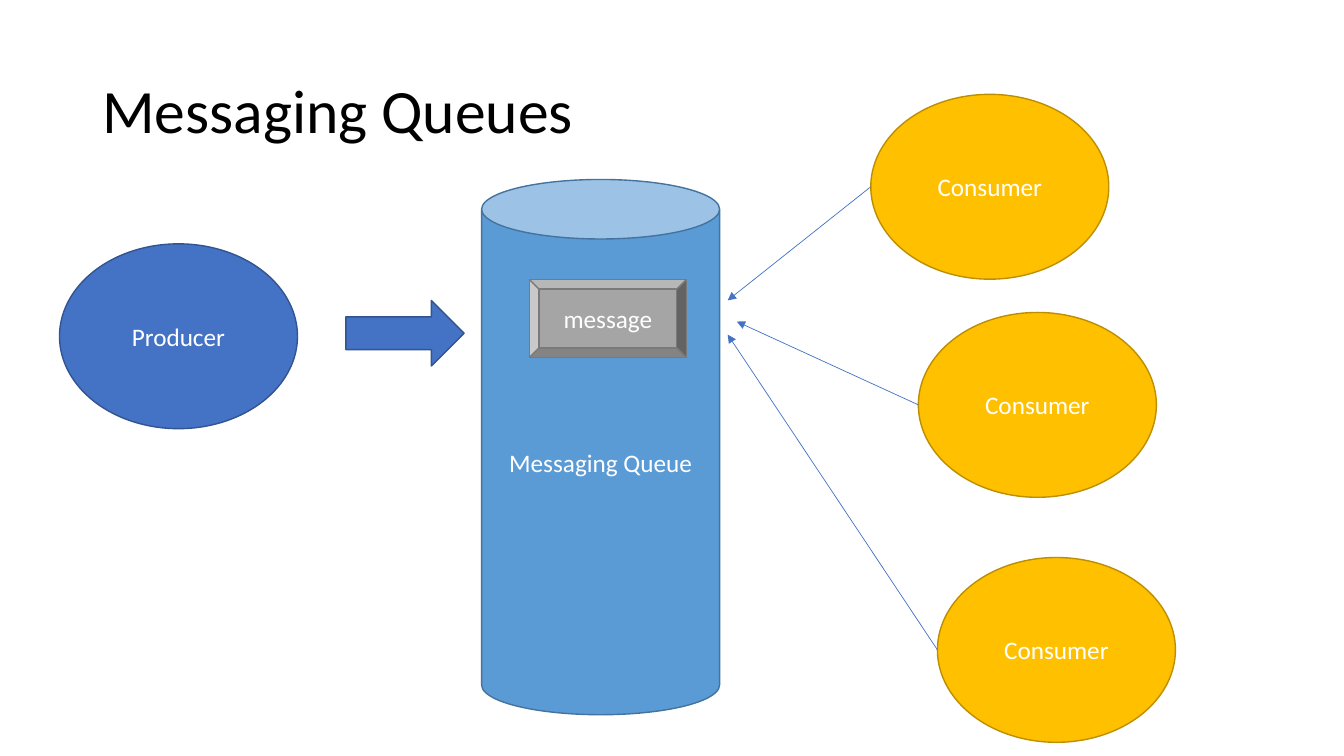
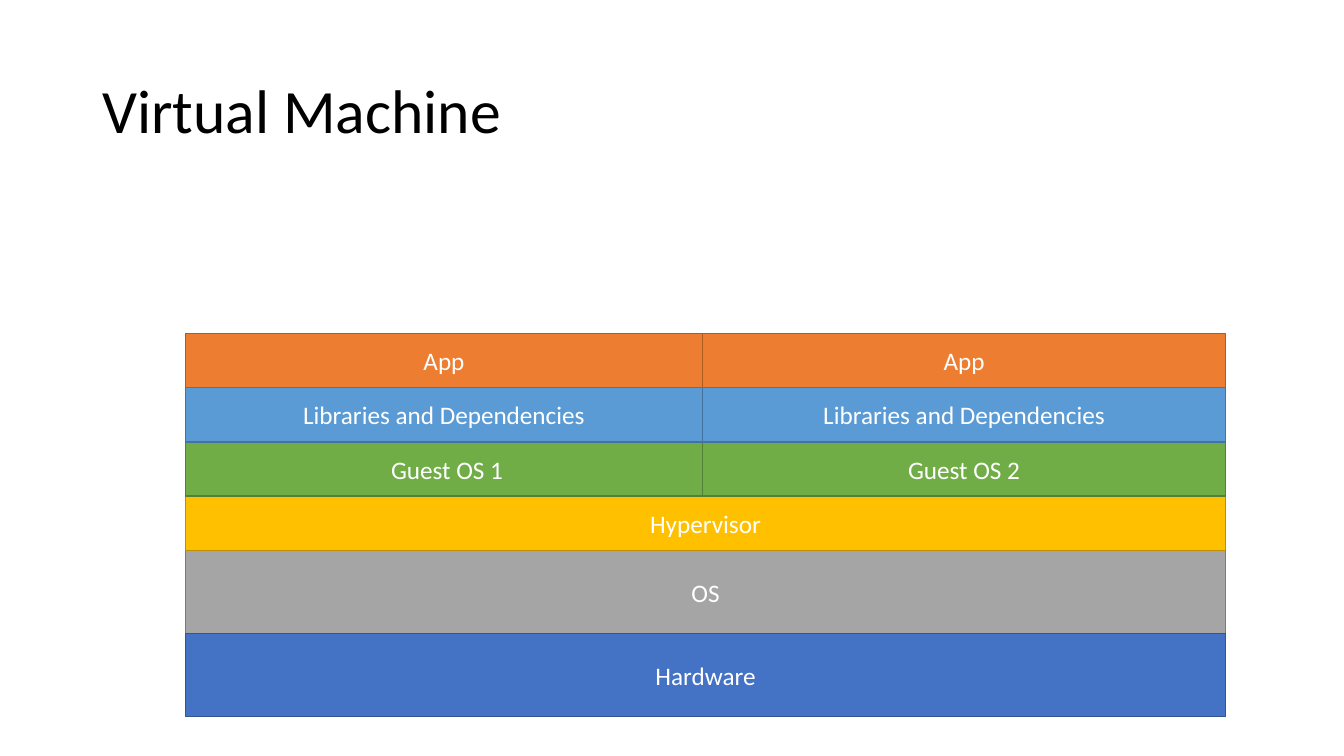
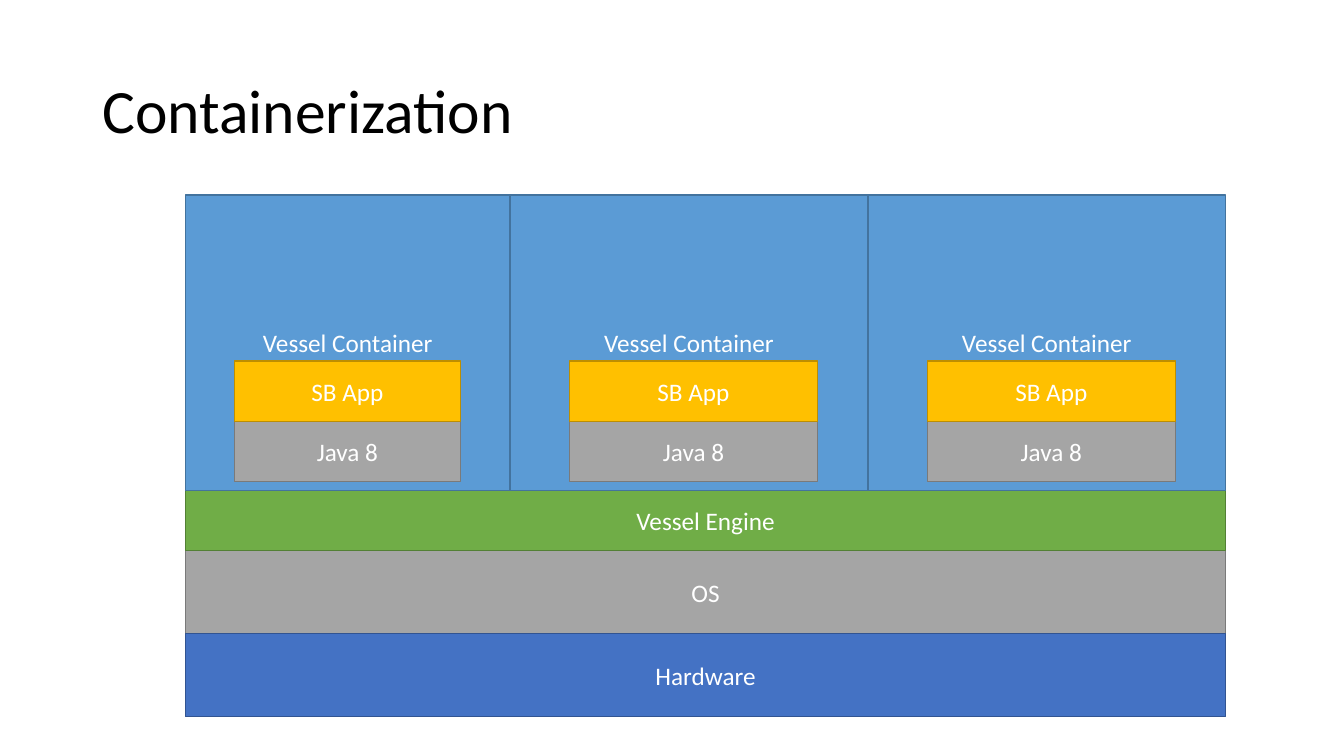
"""Build three slides on messaging queues, virtual machines and containers."""
import pptx
import pptx.util
import pptx.dml.color
import pptx.enum.shapes
import pptx.enum.text
import pptx.oxml
import pptx.oxml.ns

Pt = pptx.util.Pt
SHAPES = pptx.enum.shapes.MSO_SHAPE
ALIGN = pptx.enum.text.PP_ALIGN
ANCHOR = pptx.enum.text.MSO_ANCHOR

FONT = "Calibri"
COLOURS = {
    "title": "000000", "label": "FFFFFF",
    "blue": "4472C4", "blue edge": "325491",
    "sky": "5B9BD5", "sky edge": "43739E",
    "gold": "FFC000", "gold edge": "BD8E00",
    "grey": "A5A5A5", "grey edge": "7A7A7A",
    "green": "70AD47", "green edge": "538035",
    "orange": "ED7D31", "orange edge": "AF5C24",
}

ELLIPSE_SIZE = (170, 132)
PRODUCER_AT = (42.5, 174.2)
CONSUMERS = [
    {"at": (622, 67.4), "target": (519.8, 214.6)},
    {"at": (656, 223.2), "target": (526.3, 229.7)},
    {"at": (669.6, 398.2), "target": (519.8, 239)},
]
QUEUE_PARTS = [
    (SHAPES.CAN, "Messaging Queue", "sky", (344, 128.2, 170, 382.3)),
    (SHAPES.RIGHT_ARROW, "", "blue", (247, 214.6, 84.5, 46.8)),
    (SHAPES.BEVEL, "message", "grey", (378, 199.5, 112.4, 56)),
]

STACK_LEFT, STACK_WIDTH = 132.5, 743
STACK_RIGHT = STACK_LEFT + STACK_WIDTH
BASE_TOP, BASE_HEIGHT = 393.2, 59.4
BASE_LAYERS = [("OS", "grey"), ("Hardware", "blue")]

GUEST_HEIGHT, GUEST_WIDTH = 38.75, 373.7
GUEST_LAYERS = [
    (("Guest OS 1", "Guest OS 2"), "green", GUEST_WIDTH),
    (("Libraries and Dependencies",) * 2, "sky", 369.3),
    (("App",) * 2, "orange", 369.3),
]

ENGINE_HEIGHT, CONTAINER_HEIGHT = 42.8, 211
CONTAINERS = [
    {"width": 231.8, "inset": 35, "inner": 161.3},
    {"width": 255.6, "inset": 42.5, "inner": 177.1},
    {"width": 255.6, "inset": 42.5, "inner": 177.1},
]
CONTAINER_LAYERS = [("Java 8", "grey"), ("SB App", "gold")]
INNER_HEIGHT, INNER_MARGIN = 43.1, 6.2


def rgb(name):
    """Return the named colour."""
    return pptx.dml.color.RGBColor.from_string(COLOURS[name])


def write(shape, text, size, colour, align):
    """Put one centred-anchor paragraph into a shape."""
    frame = shape.text_frame
    frame.word_wrap = True
    frame.vertical_anchor = ANCHOR.MIDDLE
    frame.text = text
    para = frame.paragraphs[0]
    para.alignment = align
    for span in para.runs:
        span.font.size = Pt(size)
        span.font.name = FONT
        span.font.color.rgb = rgb(colour)
    return para


def add_page(deck, title):
    """Add a blank page with the shared title."""
    page = deck.slides.add_slide(deck.slide_layouts[6])
    box = page.shapes.add_textbox(Pt(66), Pt(28.8), Pt(828), Pt(104.4))
    write(box, title, 44, "title", ALIGN.LEFT).line_spacing = 0.9
    return page


def add_block(page, kind, text, colour, left, top, width, height):
    """Add a filled, outlined and labelled shape."""
    shape = page.shapes.add_shape(kind, Pt(left), Pt(top), Pt(width), Pt(height))
    shape.shadow.inherit = False
    shape.fill.solid()
    shape.fill.fore_color.rgb = rgb(colour)
    shape.line.color.rgb = rgb(colour + " edge")
    shape.line.width = Pt(1)
    if text:
        write(shape, text, 18, "label", ALIGN.CENTER)


def add_arrow(page, start, end):
    """Add a thin line with an arrowhead at its end."""
    points = [Pt(value) for value in (*start, *end)]
    arrow = page.shapes.add_connector(
        pptx.enum.shapes.MSO_CONNECTOR.STRAIGHT, *points)
    arrow.line.color.rgb = rgb("blue")
    arrow.line.width = Pt(0.5)
    head = pptx.oxml.parse_xml(
        f'<a:tailEnd {pptx.oxml.ns.nsdecls("a")} type="triangle"/>')
    arrow.line._get_or_add_ln().append(head)
    properties = arrow._element.spPr
    properties.append(pptx.oxml.parse_xml(
        f'<a:effectLst {pptx.oxml.ns.nsdecls("a")}/>'))


def add_layer(page, text, colour, top, height):
    """Add a layer across the full stack."""
    add_block(page, SHAPES.RECTANGLE, text, colour,
              STACK_LEFT, top, STACK_WIDTH, height)


def add_base(page):
    """Add the operating system and hardware layers."""
    for index, (text, colour) in enumerate(BASE_LAYERS):
        add_layer(page, text, colour, BASE_TOP + index * BASE_HEIGHT, BASE_HEIGHT)


def build_queue(deck):
    """Draw a producer, a queue and its consumers."""
    page = add_page(deck, "Messaging Queues")
    add_block(page, SHAPES.OVAL, "Producer", "blue", *PRODUCER_AT, *ELLIPSE_SIZE)
    for consumer in CONSUMERS:
        add_block(page, SHAPES.OVAL, "Consumer", "gold",
                  *consumer["at"], *ELLIPSE_SIZE)
    for kind, text, colour, bounds in QUEUE_PARTS:
        add_block(page, kind, text, colour, *bounds)
    for consumer in CONSUMERS:
        left, top = consumer["at"]
        add_arrow(page, (left, top + ELLIPSE_SIZE[1] / 2), consumer["target"])


def build_machine(deck):
    """Draw the layers of two virtual machines."""
    page = add_page(deck, "Virtual Machine")
    add_base(page)
    top = BASE_TOP - GUEST_HEIGHT
    add_layer(page, "Hypervisor", "gold", top, GUEST_HEIGHT)
    for texts, colour, first_width in GUEST_LAYERS:
        top -= GUEST_HEIGHT
        places = [(STACK_LEFT, first_width),
                  (STACK_RIGHT - GUEST_WIDTH, GUEST_WIDTH)]
        for text, (left, width) in zip(texts, places):
            add_block(page, SHAPES.RECTANGLE, text, colour,
                      left, top, width, GUEST_HEIGHT)


def build_containers(deck):
    """Draw containers on a shared engine."""
    page = add_page(deck, "Containerization")
    add_base(page)
    engine_top = BASE_TOP - ENGINE_HEIGHT
    add_layer(page, "Vessel Engine", "green", engine_top, ENGINE_HEIGHT)
    left = STACK_LEFT
    for container in CONTAINERS:
        add_block(page, SHAPES.RECTANGLE, "Vessel Container", "sky", left,
                  engine_top - CONTAINER_HEIGHT, container["width"],
                  CONTAINER_HEIGHT)
        for level, (text, colour) in enumerate(CONTAINER_LAYERS, 1):
            add_block(page, SHAPES.RECTANGLE, text, colour,
                      left + container["inset"],
                      engine_top - INNER_MARGIN - level * INNER_HEIGHT,
                      container["inner"], INNER_HEIGHT)
        left += container["width"]


def main():
    """Build and save the deck."""
    deck = pptx.Presentation()
    deck.slide_width, deck.slide_height = Pt(960), Pt(540)
    for build in (build_queue, build_machine, build_containers):
        build(deck)
    deck.save("out.pptx")


if __name__ == "__main__":
    main()
